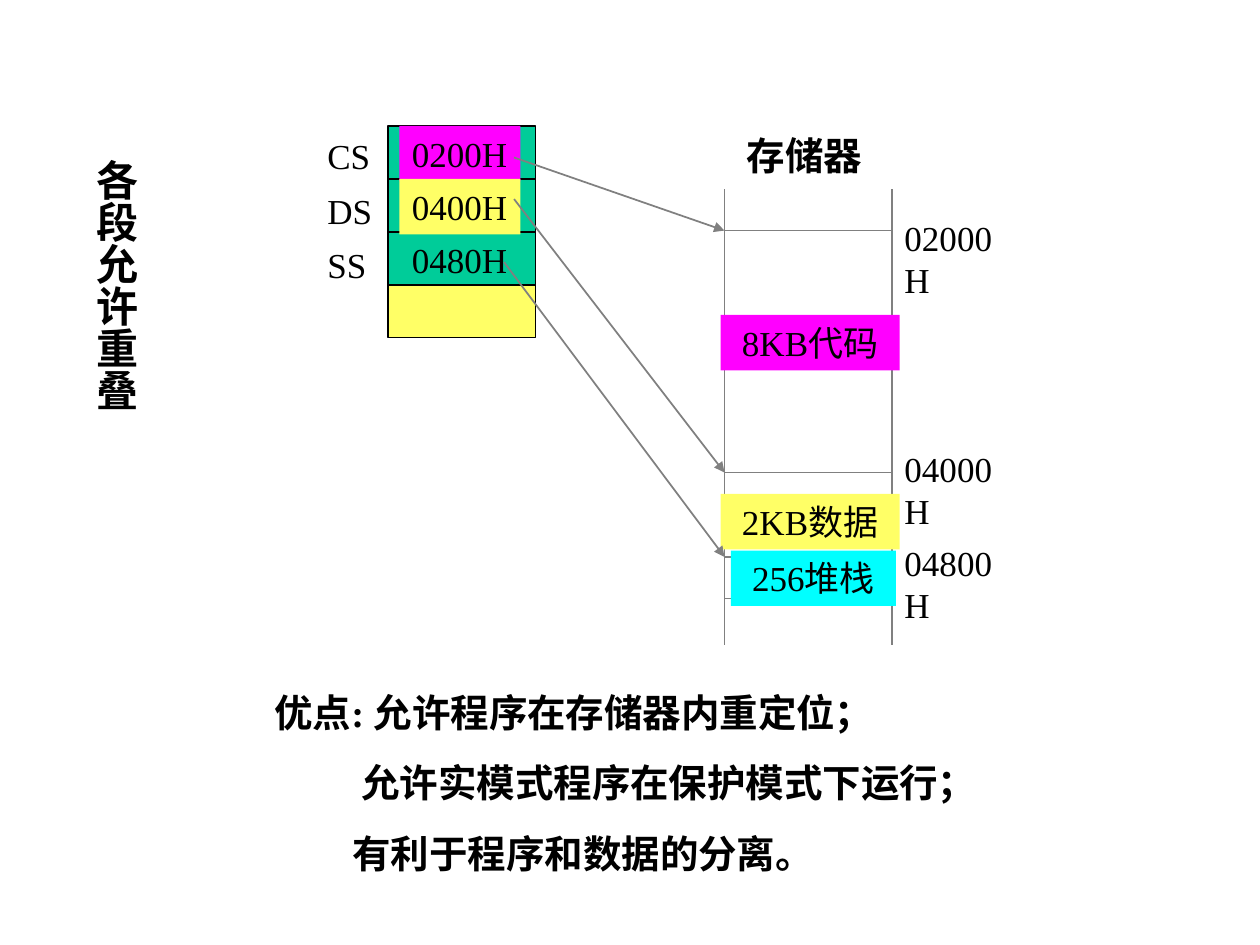
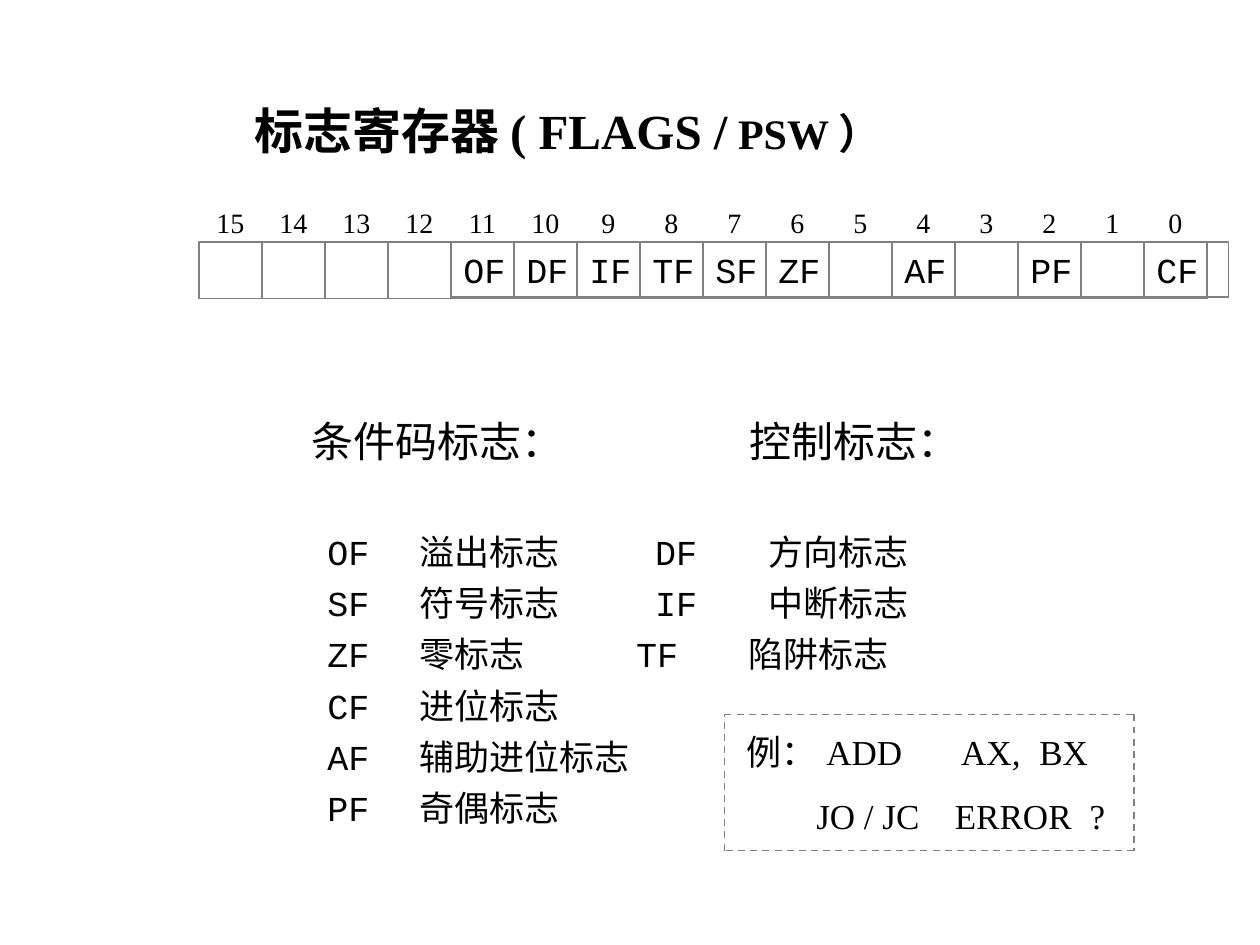
import itertools

import pptx
import pptx.util
import pptx.dml.color
import pptx.enum.dml
import pptx.enum.shapes
import pptx.enum.text
import pptx.oxml.ns
import pptx.oxml.xmlchemy

Inches = pptx.util.Inches
Pt = pptx.util.Pt
new_element = pptx.oxml.xmlchemy.OxmlElement

COLORS = {"text": "000000", "line": "808080", "code": "FF00FF", "data": "FFFF66",
          "stack": "00FFFF", "register": "00CC99"}
SERIF, MONO = "Times New Roman", "Courier New"

# Segment slide
SIDE_TITLE = "各段允许重叠"
MEMORY_TITLE = "存储器"
MEMORY_LEFT, MEMORY_RIGHT, MEMORY_TOP, MEMORY_BOTTOM = 5.75, 7.08, 1.5, 5.12
MEMORY_BORDERS = [1.83, 3.75, 4.42, 4.75]
MEMORY_BLOCKS = [("8KB代码", (5.72, 2.5, 1.42, 0.44), "code"),
                 ("2KB数据", (5.72, 3.92, 1.42, 0.44), "data"),
                 ("256堆栈", (5.8, 4.37, 1.31, 0.44), "stack")]
ADDRESSES = [("02000H", 1.67), ("04800H", 4.25), ("04000H", 3.5)]
REGISTER_NAMES = ["CS", "DS", "SS"]
REGISTER_TOP, REGISTER_PITCH = 1, 0.42
REGISTER_FILLS = ["register", "register", "register", "data"]
REGISTER_VALUES = [("0200H", "code"), ("0400H", "data"), ("0480H", None)]
ARROWS = [((4.08, 1.25), 1.83), ((4.08, 1.58), 3.75), ((4, 2.08), 4.42)]
ADVANTAGES = [("优点: 允许程序在存储器内重定位；", 0),
              ("允许实模式程序在保护模式下运行；", 0.69),
              ("有利于程序和数据的分离。", 0.62)]

# Flags slide
FLAGS_TITLE = [("标志寄存器 ( FLAGS /", 28), (" PSW ）", 24)]
BIT_COUNT, BIT_LEFT, BIT_TOP, BIT_WIDTH = 16, 1.58, 1.92, 0.5
FLAG_BITS = {"OF": 11, "DF": 10, "IF": 9, "TF": 8, "SF": 7, "ZF": 6, "AF": 4, "PF": 2, "CF": 0}
HEADINGS, HEADING_STOPS = ["", "条件码标志：", "控制标志："], [0.45, 3.93]
FLAG_STOPS, SHORT_FLAG_STOPS = [0.73, 2.6, 3.5], [0.73, 2.45, 3.34]
FLAG_ROWS = [(["OF", "溢出标志", "DF", "方向标志"], FLAG_STOPS),
             (["SF", "符号标志", "IF", "中断标志"], FLAG_STOPS),
             (["ZF", "零标志", "TF", "陷阱标志"], SHORT_FLAG_STOPS),
             (["CF", "进位标志"], FLAG_STOPS),
             (["AF", "辅助进位标志"], FLAG_STOPS),
             (["PF", "奇偶标志"], FLAG_STOPS)]
EXAMPLE_ROWS = [(["例：", "ADD", "AX,", "BX"], [0.63, 1.7, 2.32]),
                (["", "JO / JC", "ERROR", "?"], [0.55, 1.65, 2.72])]
EXAMPLE_CORNERS = [(5.75, 5.67), (9, 5.67), (9, 6.75), (5.75, 6.75), (5.75, 5.67)]


def color(name):
    return pptx.dml.color.RGBColor.from_string(COLORS[name])


def add_line(slide, start, end, dashed=False, arrow=False):
    connector = slide.shapes.add_connector(
        pptx.enum.shapes.MSO_CONNECTOR.STRAIGHT, *map(Inches, start + end))
    connector.line.color.rgb = color("line")
    connector.line.width = Pt(1)
    if dashed:
        connector.line.dash_style = pptx.enum.dml.MSO_LINE.DASH
    if arrow:
        arrowhead = new_element("a:tailEnd")
        arrowhead.set("type", "triangle")
        connector.line._get_or_add_ln().append(arrowhead)
    connector._element.spPr.append(new_element("a:effectLst"))


def add_box(slide, place, fill=None, line=None):
    shape = slide.shapes.add_shape(
        pptx.enum.shapes.MSO_SHAPE.RECTANGLE, *map(Inches, place))
    shape.shadow.inherit = False
    if fill:
        shape.fill.solid()
        shape.fill.fore_color.rgb = color(fill)
    else:
        shape.fill.background()
    if line:
        shape.line.color.rgb = color(line)
        shape.line.width = Pt(1)
    else:
        shape.line.fill.background()
    return shape


def add_text(slide, place):
    return slide.shapes.add_textbox(*map(Inches, place))


def set_tabs(paragraph, stops, alignment):
    tabs = new_element("a:tabLst")
    for stop in stops:
        tab = new_element("a:tab")
        tab.set("pos", str(int(Inches(stop))))
        tab.set("algn", alignment)
        tabs.append(tab)
    paragraph._p.get_or_add_pPr().append(tabs)


def write(shape, rows, size=20, font=SERIF, bold=False, wrap=True, before=0,
          spacing=None, tab_alignment="l"):
    """Fill a shape with rows of (text, indent) or (cells, tab stops)."""
    frame = shape.text_frame
    frame.word_wrap = wrap
    frame.vertical_anchor = pptx.enum.text.MSO_ANCHOR.TOP
    frame.text = "\n".join(text if isinstance(text, str) else "\t".join(text)
                           for text, _ in rows)
    for paragraph, (_, layout) in zip(frame.paragraphs, rows):
        paragraph.alignment = pptx.enum.text.PP_ALIGN.LEFT
        paragraph.space_before = Pt(before)
        if spacing:
            paragraph.line_spacing = spacing
        if isinstance(layout, list):
            set_tabs(paragraph, layout, tab_alignment)
        elif layout:
            paragraph._p.get_or_add_pPr().set("marL", str(int(Inches(layout))))
        for run in paragraph.runs:
            format_run(run, size, font, bold)


def format_run(run, size, font, bold):
    run.font.size = Pt(size)
    run.font.name = font
    run.font.bold = bold
    run.font.color.rgb = color("text")
    run._r.get_or_add_rPr().set("lang", "zh-CN")


def build_segments(slide):
    for x in (MEMORY_LEFT, MEMORY_RIGHT):
        add_line(slide, (x, MEMORY_TOP), (x, MEMORY_BOTTOM))
    for y in MEMORY_BORDERS:
        add_line(slide, (MEMORY_LEFT, y), (MEMORY_RIGHT, y))
    write(add_text(slide, (MEMORY_LEFT, 1, 1.38, 0.5)), [(MEMORY_TITLE, 0.08)], 22, bold=True)
    for label, place, fill in MEMORY_BLOCKS:
        write(add_box(slide, place, fill), [(label, 0.07)], wrap=False)
    for address, top in ADDRESSES:
        write(add_text(slide, (MEMORY_RIGHT, top, 1.09, 0.44)), [(address, 0)], wrap=False)

    for index, fill in enumerate(REGISTER_FILLS):
        top = REGISTER_TOP + index * REGISTER_PITCH
        add_box(slide, (3.08, top, 1.17, REGISTER_PITCH), fill, "text")
    for index, (value, fill) in enumerate(REGISTER_VALUES):
        place = (3.17, REGISTER_TOP + index * REGISTER_PITCH, 0.96, 0.44)
        holder = add_box(slide, place, fill) if fill else add_text(slide, place)
        write(holder, [(value, 0)], wrap=False)
    for start, border in ARROWS:
        add_line(slide, start, (MEMORY_LEFT, border), arrow=True)
    write(add_text(slide, (2.5, 0.92, 0.67, 1.4)),
          [(name, 0) for name in REGISTER_NAMES], spacing=1.3)
    write(add_text(slide, (2.08, 5.42, 6.25, 1.58)), ADVANTAGES, 22, bold=True, before=13.8)

    side_title = add_text(slide, (0.57, 1.17, 0.6, 2.75))
    write(side_title, [(SIDE_TITLE, 0)], 24, bold=True)
    frame = side_title.text_frame
    frame.margin_left = frame.margin_right = Inches(0.05)
    frame.margin_top = frame.margin_bottom = Inches(0.1)
    frame._txBody.find(pptx.oxml.ns.qn("a:bodyPr")).set("vert", "eaVert")


def build_flags(slide):
    title = add_text(slide, (1.92, 0.75, 7.75, 0.57)).text_frame
    title.word_wrap = True
    for text, size in FLAGS_TITLE:
        run = title.paragraphs[0].add_run()
        run.text = text
        format_run(run, size, SERIF, True)

    for index in range(BIT_COUNT):
        add_box(slide, (BIT_LEFT + index * BIT_WIDTH, BIT_TOP, BIT_WIDTH, 0.45), line="line")
    bits = [""] + [str(bit) for bit in reversed(range(BIT_COUNT))]
    bit_centers = [0.23 + index * BIT_WIDTH for index in range(BIT_COUNT)]
    write(add_text(slide, (1.5, 1.58, 8.08, 0.37)), [(bits, bit_centers)], 16,
          tab_alignment="ctr")

    write(add_text(slide, (1.92, 3.25, 7.08, 0.5)), [(HEADINGS, HEADING_STOPS)], 24)
    write(add_text(slide, (2.5, 4.25, 5.92, 2.37)), FLAG_ROWS, font=MONO,
          before=12.5, spacing=0.7)
    flag_stops = [(FLAG_BITS["OF"] - bit) * BIT_WIDTH for bit in FLAG_BITS.values()][1:]
    write(add_box(slide, (3.58, BIT_TOP, 6.17, 0.44), line="line"),
          [(list(FLAG_BITS), flag_stops)], font=MONO)

    write(add_text(slide, (5.83, 5.75, 3.25, 0.94)), EXAMPLE_ROWS, before=12.5)
    for start, end in itertools.pairwise(EXAMPLE_CORNERS):
        add_line(slide, start, end, dashed=True)


def main():
    presentation = pptx.Presentation()
    presentation.slide_width = Inches(10)
    presentation.slide_height = Inches(7.5)
    for build in (build_segments, build_flags):
        build(presentation.slides.add_slide(presentation.slide_layouts[6]))
    presentation.save("out.pptx")


if __name__ == "__main__":
    main()
